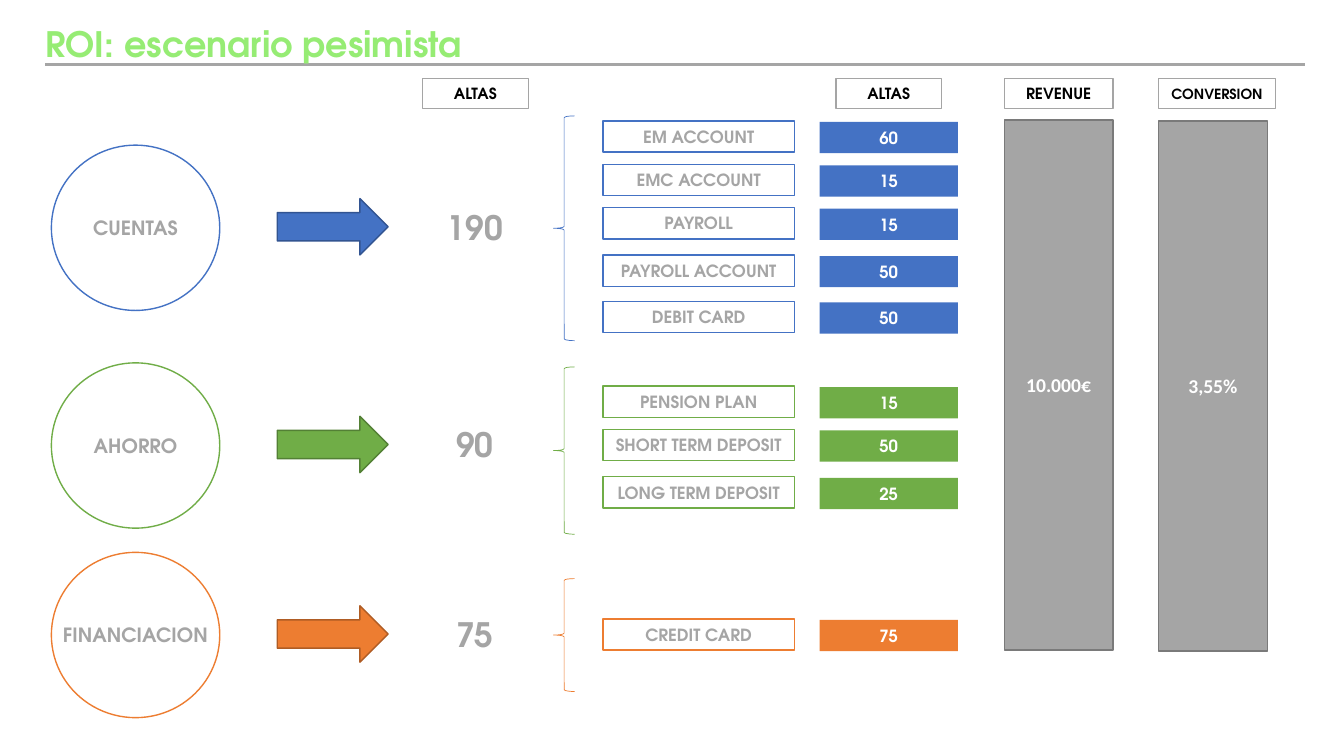
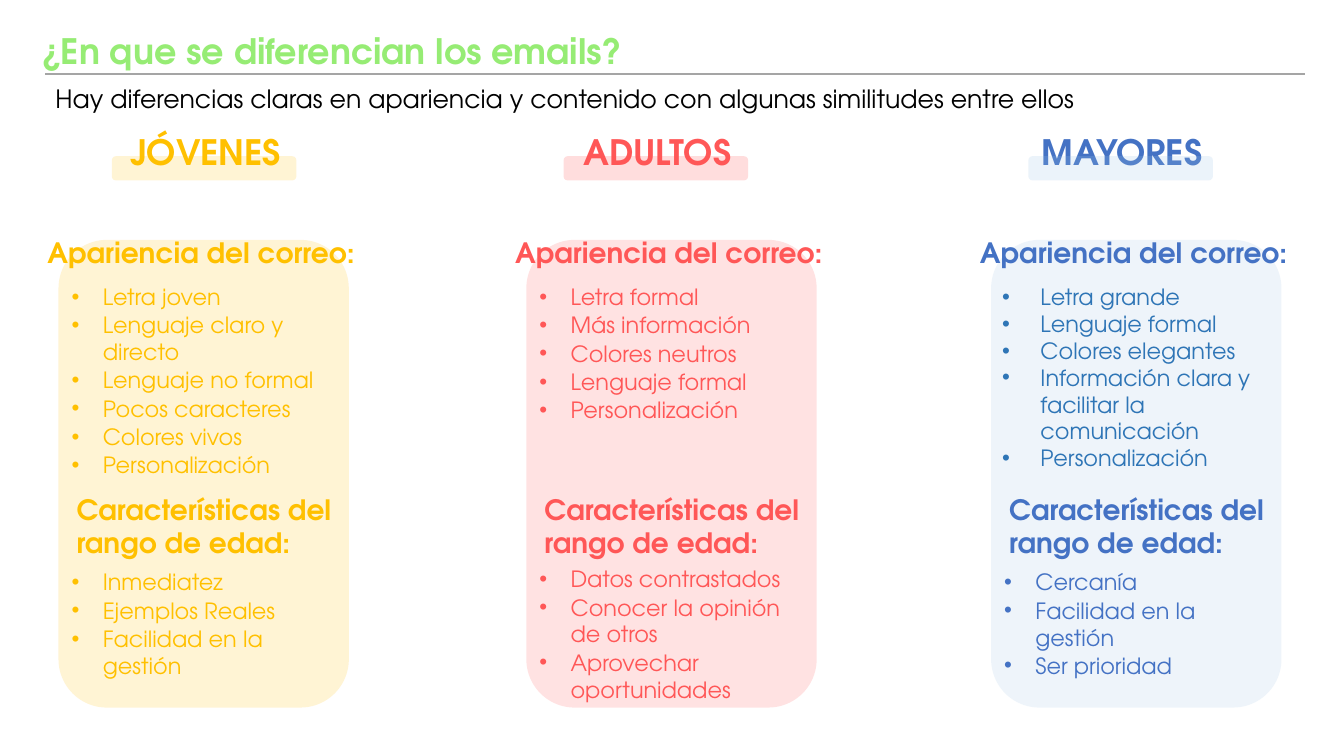
from dataclasses import dataclass

from lxml import etree
from pptx import Presentation
from pptx.dml.color import RGBColor
from pptx.enum.shapes import MSO_CONNECTOR as Connector, MSO_SHAPE as Shape
from pptx.enum.text import MSO_ANCHOR as Anchor, PP_ALIGN as Align
from pptx.oxml.ns import qn
from pptx.util import Pt

EMU_PER_PX = 9144  # 100 px to the inch


@dataclass(frozen=True)
class Theme:
    # Colours
    title: str = "96EC74"
    gray: str = "A5A5A5"
    dark_gray: str = "7A7A7A"
    white: str = "FFFFFF"
    black: str = "000000"
    blue: str = "4472C4"
    dark_blue: str = "325491"
    list_blue: str = "2E75B6"
    pale_blue: str = "9DC3E6"
    green: str = "70AD47"
    dark_green: str = "538035"
    orange: str = "ED7D31"
    dark_orange: str = "AF5C24"
    yellow: str = "FFC000"
    red: str = "FF5757"
    # Fonts and type sizes
    font: str = "TeX Gyre Adventor"
    number_font: str = "Calibri"
    title_size: int = 25
    total_size: int = 24
    heading_size: int = 20
    lead_size: int = 18
    list_size: int = 16
    label_size: int = 14
    row_size: int = 12
    header_size: int = 11
    small_header_size: int = 10


THEME = Theme()


@dataclass(frozen=True)
class ProductGroup:
    name: str
    total: str
    color: str
    dark: str
    top: int
    brace: tuple  # offset from the group top, height
    rows: tuple  # offset from the group top, product, sign-ups


@dataclass(frozen=True)
class Audience:
    name: str
    color: str
    tint: str
    left: int
    badge_shift: int
    badge_opacity: int
    appearance: tuple
    traits: tuple
    list_color: str
    traits_top: int = 564
    appearance_indent: tuple = (33, 31)
    appearance_gap: int = 1


GROUPS = (
    ProductGroup("CUENTAS", "190", THEME.blue, THEME.dark_blue, 144, (-29, 223), (
        (-24, "EM ACCOUNT", "60"), (19, "EMC ACCOUNT", "15"), (62, "PAYROLL", "15"),
        (109, "PAYROLL ACCOUNT", "50"), (155, "DEBIT CARD", "50"))),
    ProductGroup("AHORRO", "90", THEME.green, THEME.dark_green, 360, (4, 166), (
        (23, "PENSION PLAN", "15"), (66, "SHORT TERM DEPOSIT", "50"),
        (113, "LONG TERM DEPOSIT", "25"))),
    ProductGroup("FINANCIACION", "75", THEME.orange, THEME.dark_orange, 548, (26, 112), (
        (66, "CREDIT CARD", "75"),)),
)

AUDIENCES = (
    Audience("JÓVENES", THEME.yellow, THEME.yellow, 58, 53, 17,
             ("Letra joven", "Lenguaje claro y directo", "Lenguaje no formal",
              "Pocos caracteres", "Colores vivos", "Personalización"),
             ("Inmediatez", "Ejemplos Reales", "Facilidad en la gestión"), THEME.yellow),
    Audience("ADULTOS", THEME.red, THEME.red, 522, 37, 20,
             ("Letra formal", "Más información", "Colores neutros", "Lenguaje formal",
              "Personalización"),
             ("Datos contrastados", "Conocer la opinión de otros",
              "Aprovechar oportunidades"), THEME.red, traits_top=561),
    Audience("MAYORES", THEME.blue, THEME.pale_blue, 983, 37, 20,
             ("Letra grande", "Lenguaje formal", "Colores elegantes",
              "Información clara y facilitar la comunicación", "Personalización"),
             ("Cercanía", "Facilidad en la gestión", "Ser prioridad"), THEME.list_blue,
             appearance_indent=(38, 38), appearance_gap=0),
)


def px(length):
    return length * EMU_PER_PX


def place(*lengths):
    return [px(length) for length in lengths]


def rgb(color):
    return RGBColor.from_string(color)


def write_text(shape, text, *, size, color, font=THEME.font, bold=True, align=Align.LEFT,
               anchor=Anchor.MIDDLE, wrap=True, gap=0, bullet_indent=None):
    """Write a string, or one paragraph for each item of a tuple."""
    frame = shape.text_frame
    frame.word_wrap = wrap
    frame.vertical_anchor = anchor
    frame.margin_left = frame.margin_right = frame.margin_top = frame.margin_bottom = 0
    lines = (text,) if isinstance(text, str) else text
    for index, line in enumerate(lines):
        paragraph = frame.add_paragraph() if index else frame.paragraphs[0]
        paragraph.alignment = align
        if index and gap:
            paragraph.space_before = Pt(gap)
        if bullet_indent:
            add_bullet(paragraph, *bullet_indent)
        run = paragraph.add_run()
        run.text = line
        run.font.name = font
        run.font.size = Pt(size)
        run.font.bold = bold
        run.font.color.rgb = rgb(color)


def add_bullet(paragraph, margin, hanging):
    properties = paragraph._p.get_or_add_pPr()
    properties.set("marL", str(px(margin)))
    properties.set("indent", str(-px(hanging)))
    etree.SubElement(properties, qn("a:buFont")).set("typeface", "Arial")
    etree.SubElement(properties, qn("a:buChar")).set("char", "•")


def add_text(slide, box, text, **text_format):
    write_text(slide.shapes.add_textbox(*place(*box)), text, **text_format)


def add_shape(slide, kind, box, fill=None, line=None, line_width=1, opacity=None):
    shape = slide.shapes.add_shape(kind, *place(*box))
    shape.shadow.inherit = False
    if fill:
        shape.fill.solid()
        shape.fill.fore_color.rgb = rgb(fill)
        if opacity is not None:
            color = shape.fill._xPr.find(qn("a:solidFill"))[0]
            etree.SubElement(color, qn("a:alpha")).set("val", str(opacity * 1000))
    else:
        shape.fill.background()
    if line:
        shape.line.color.rgb = rgb(line)
        shape.line.width = Pt(line_width)
    else:
        shape.line.fill.background()
    return shape


def add_label(slide, box, text, fill, line=None, **text_format):
    shape = add_shape(slide, Shape.RECTANGLE, box, fill, line)
    write_text(shape, text, align=Align.CENTER, **text_format)


def add_title(slide, left, top, rule_y, text):
    rule = slide.shapes.add_connector(Connector.STRAIGHT, *place(45, rule_y, 1294, rule_y))
    rule.line.color.rgb = rgb(THEME.gray)
    rule.line.width = Pt(1.5)
    etree.SubElement(rule._element.spPr, qn("a:effectLst"))
    add_text(slide, (left, top, 1125, 42), text, size=THEME.title_size, color=THEME.title)


def add_product_group(slide, left, group):
    top = group.top

    # Family, arrow and total
    circle = add_shape(slide, Shape.OVAL, (left, top, 167, 164), THEME.white, group.color)
    write_text(circle, group.name, size=THEME.label_size, color=THEME.gray,
               align=Align.CENTER, wrap=False)
    add_shape(slide, Shape.RIGHT_ARROW, (left + 224, top + 53, 110, 56),
              group.color, group.dark)
    add_text(slide, (left + 307, top + 61, 226, 40), group.total,
             size=THEME.total_size, color=THEME.gray, align=Align.CENTER)

    # Products and their sign-ups
    brace_offset, brace_height = group.brace
    add_shape(slide, Shape.LEFT_BRACE, (left + 498, top + brace_offset, 21, brace_height),
              line=group.color, line_width=0.5)
    for offset, product, count in group.rows:
        row_top = top + offset
        add_label(slide, (left + 547, row_top, 190, 31), product, THEME.white, group.color,
                  size=THEME.row_size, color=THEME.gray)
        add_label(slide, (left + 762, row_top + 1, 137, 31), count, group.color,
                  size=THEME.row_size, color=THEME.white)


def add_header(slide, left, width, text, size=THEME.header_size):
    add_label(slide, (left, 78, width, 30), text, THEME.white, THEME.gray,
              size=size, color=THEME.black)


def add_result_bar(slide, left, top, text):
    add_label(slide, (left, top, 108, 526), text, THEME.gray, THEME.dark_gray,
              size=THEME.label_size, color=THEME.white, font=THEME.number_font)


def add_audience_column(slide, audience):
    left, color = audience.left, audience.color

    # Name, badge and panel
    badge_left = left + audience.badge_shift
    add_text(slide, (badge_left - 7, 129, 200, 42), audience.name,
             size=THEME.title_size, color=color, align=Align.CENTER)
    add_shape(slide, Shape.ROUNDED_RECTANGLE, (badge_left, 155, 183, 24),
              audience.tint, opacity=audience.badge_opacity)
    add_shape(slide, Shape.ROUNDED_RECTANGLE, (left, 238, 288, 464),
              audience.tint, opacity=17)

    # Headings
    for offset, top, height, heading in (
            (-11, 233, 34, "Apariencia del correo:"),
            (18, 488, 67, "Características del rango de edad:")):
        add_text(slide, (left + offset, top, 317, height), heading,
                 size=THEME.heading_size, color=color)

    # Bulleted lists
    for top, height, items, list_color, indent, gap in (
            (281, 195, audience.appearance, audience.list_color,
             audience.appearance_indent, audience.appearance_gap),
            (audience.traits_top, 138, audience.traits, color, (33, 31), 1)):
        add_text(slide, (left + 11, top, 266, height), items, size=THEME.list_size,
                 color=list_color, bold=False, anchor=Anchor.TOP, gap=gap,
                 bullet_indent=indent)


def build_roi_slide(slide):
    add_title(slide, 45, 22, 64, "ROI: escenario pesimista")
    for group in GROUPS:
        add_product_group(slide, 51, group)
    add_result_bar(slide, 996, 119, "10.000€")
    add_result_bar(slide, 1149, 120, "3,55%")
    add_header(slide, 419, 105, "ALTAS")
    add_header(slide, 829, 105, "ALTAS")
    add_header(slide, 996, 108, "REVENUE")
    add_header(slide, 1149, 116, "CONVERSION", THEME.small_header_size)


def build_email_slide(slide):
    add_title(slide, 41, 29, 73, "¿En que se diferencian los emails?")
    add_text(slide, (55, 83, 1268, 30),
             "Hay diferencias claras en apariencia y contenido con algunas similitudes entre ellos",
             size=THEME.lead_size, color=THEME.black, bold=False, anchor=Anchor.TOP)
    for audience in AUDIENCES:
        add_audience_column(slide, audience)


def main():
    presentation = Presentation()
    presentation.slide_width, presentation.slide_height = place(1333, 750)
    blank = presentation.slide_layouts[6]
    for build in (build_roi_slide, build_email_slide):
        build(presentation.slides.add_slide(blank))
    presentation.save("out.pptx")


if __name__ == "__main__":
    main()
